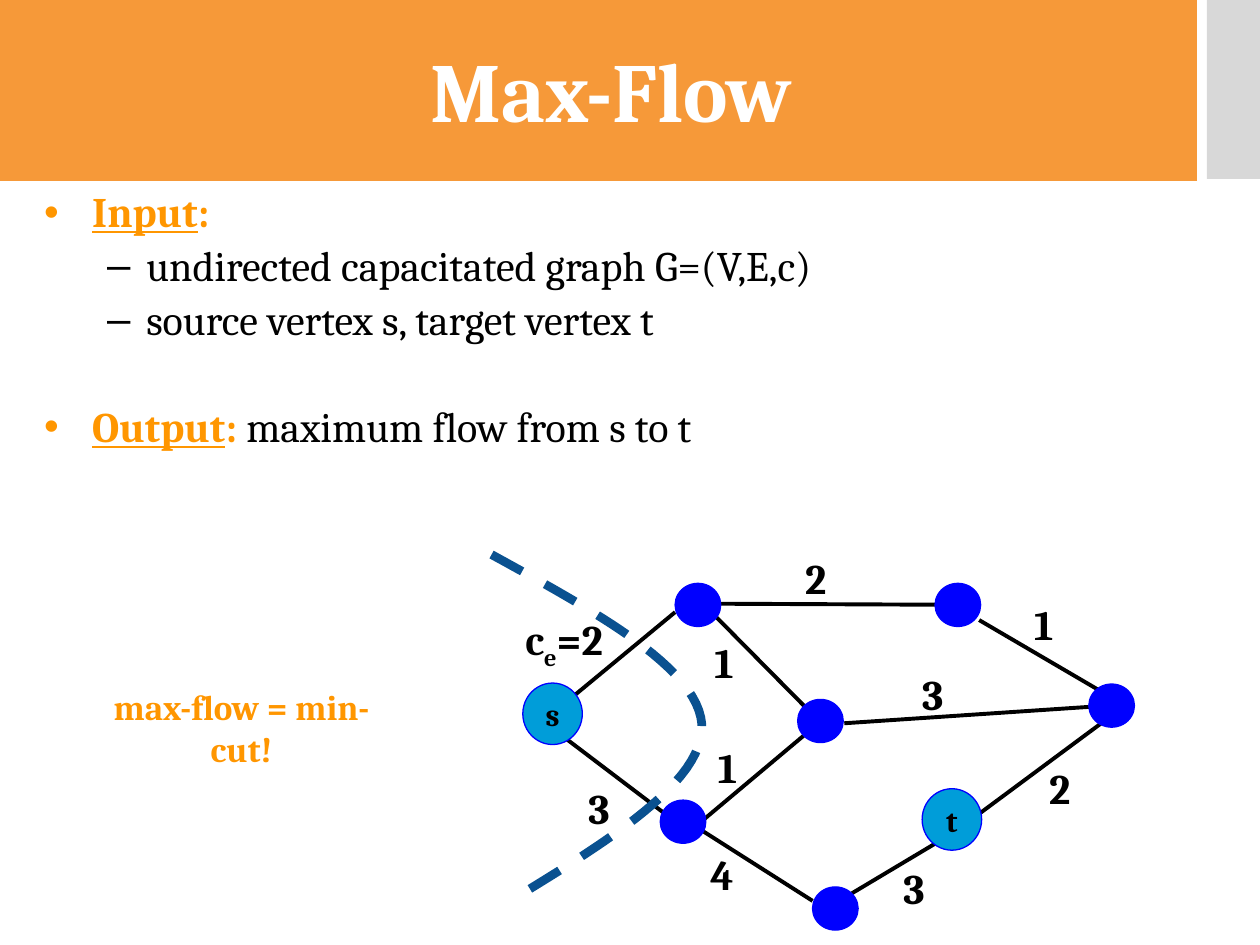
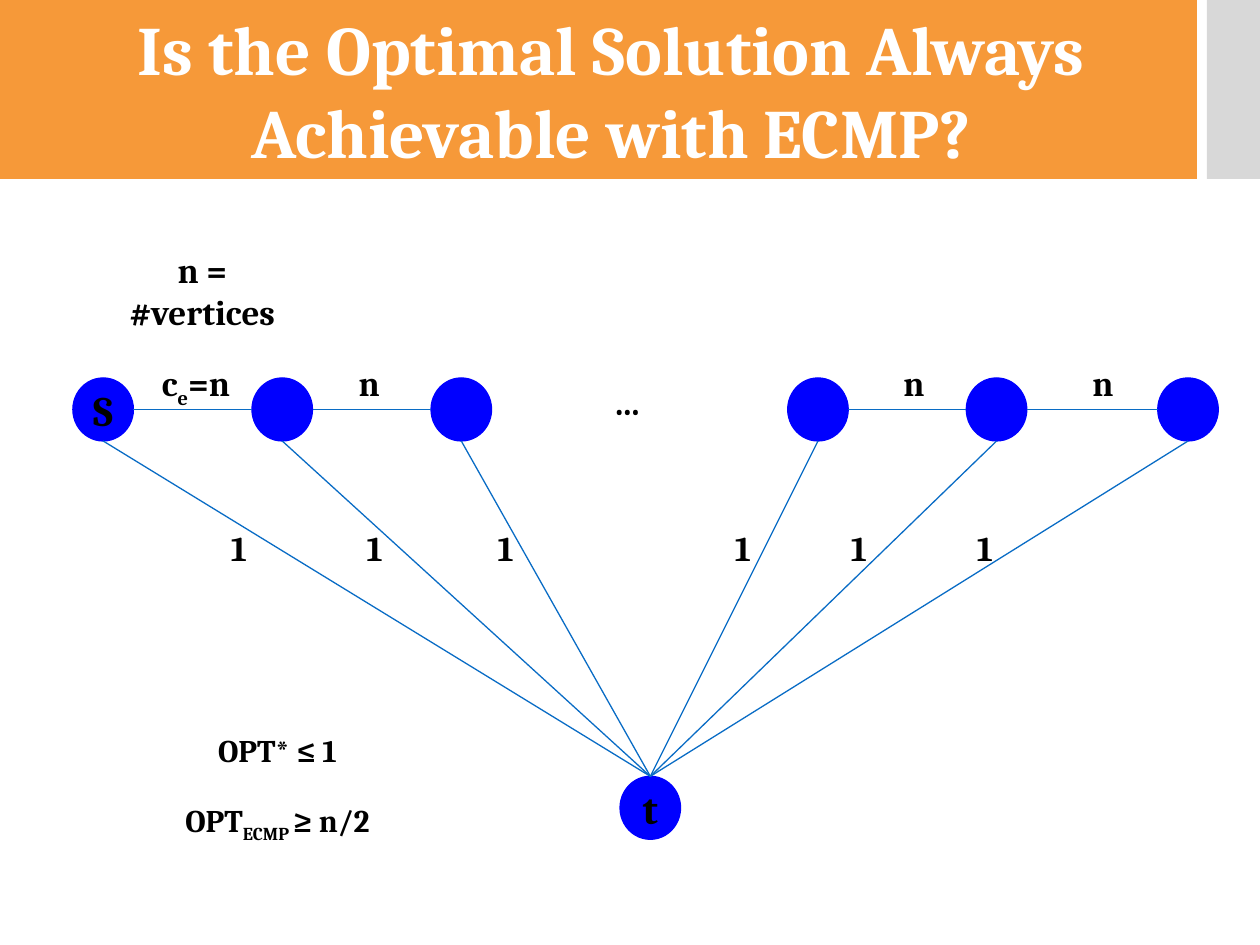
from dataclasses import dataclass

from lxml import etree
from pptx import Presentation
from pptx.dml.color import RGBColor
from pptx.enum.dml import MSO_LINE
from pptx.enum.shapes import MSO_CONNECTOR, MSO_SHAPE
from pptx.enum.text import MSO_ANCHOR, PP_ALIGN
from pptx.oxml.ns import qn
from pptx.util import Cm, Pt

FONT = "Cambria"
WHITE = RGBColor(0xFF, 0xFF, 0xFF)
BLACK = RGBColor(0, 0, 0)
BAND = RGBColor(0xF6, 0x99, 0x39)
GRAY = RGBColor(0xD8, 0xD8, 0xD8)
ORANGE = RGBColor(0xFF, 0x96, 0x00)
BLUE = RGBColor(0, 0, 0xFF)
CYAN = RGBColor(0, 0x9D, 0xD9)
LINK = RGBColor(0x09, 0x6C, 0xC5)
CUT = RGBColor(0x0A, 0x51, 0x90)

LEFT, CENTER = PP_ALIGN.LEFT, PP_ALIGN.CENTER
TOP, MIDDLE = MSO_ANCHOR.TOP, MSO_ANCHOR.MIDDLE
RECT, OVAL = MSO_SHAPE.RECTANGLE, MSO_SHAPE.OVAL
STRAIGHT = MSO_CONNECTOR.STRAIGHT
DASH = MSO_LINE.DASH


@dataclass
class Run:
    text: str
    bold: bool = True
    underline: bool = False
    color: RGBColor | None = None
    subscript: bool = False


@dataclass
class Bullet:
    runs: list[Run]
    char: str
    color: RGBColor
    margin: float
    hang: float
    before: float


@dataclass
class Edge:
    """An edge's two ends, its capacity, and the corner of its label, in cm."""
    x1: float
    y1: float
    x2: float
    y2: float
    label: str | list[Run]
    label_x: float
    label_y: float


def capacity(value: str) -> list[Run]:
    return [Run("c"), Run("e", subscript=True), Run(f"={value}")]


def add_runs(p, runs: str | list[Run], size: float, color: RGBColor):
    for run in [Run(runs)] if isinstance(runs, str) else runs:
        r = p.add_run()
        r.text = run.text
        r.font.name = FONT
        r.font.size = Pt(size)
        r.font.bold = run.bold
        r.font.underline = run.underline
        r.font.color.rgb = run.color or color
        if run.subscript:
            r.font._element.set("baseline", "-25000")


def write(sp, *paragraphs: str | list[Run], size: float, color=BLACK, align=CENTER,
          anchor=TOP, wrap=False, before=0.0, left_inset=0.25):
    """Write paragraphs into a shape; before is the gap between them in points."""
    tf = sp.text_frame
    tf.word_wrap = wrap
    tf.vertical_anchor = anchor
    tf.margin_left, tf.margin_right = Cm(left_inset), Cm(0.25)
    tf.margin_top = tf.margin_bottom = Cm(0.13)
    for i, runs in enumerate(paragraphs):
        p = tf.add_paragraph() if i else tf.paragraphs[0]
        p.alignment = align
        p.space_before = Pt(before if i else 0)
        add_runs(p, runs, size, color)


def add_text(s, x: float, y: float, w: float, h: float, *paragraphs, **fmt):
    sp = s.shapes.add_textbox(Cm(x), Cm(y), Cm(w), Cm(h))
    write(sp, *paragraphs, **fmt)


def add_shape(s, kind, x: float, y: float, w: float, h: float,
              fill: RGBColor, line: RGBColor | None = None):
    sp = s.shapes.add_shape(kind, Cm(x), Cm(y), Cm(w), Cm(h))
    sp.shadow.inherit = False
    sp.fill.solid()
    sp.fill.fore_color.rgb = fill
    if line is None:
        sp.line.fill.background()
    else:
        sp.line.color.rgb = line
        sp.line.width = Pt(0.75)
    return sp


def add_line(s, x1: float, y1: float, x2: float, y2: float, color: RGBColor, width: float):
    c = s.shapes.add_connector(STRAIGHT, Cm(x1), Cm(y1), Cm(x2), Cm(y2))
    c.line.color.rgb = color
    c.line.width = Pt(width)
    etree.SubElement(c._element.spPr, qn("a:effectLst"))
    return c


def add_header(s, title: str, size: float, top: float, height: float):
    add_shape(s, RECT, 24.33, 0, 1.07, 3.61, GRAY)
    sp = add_shape(s, RECT, 0, top, 24.13, height, BAND)
    write(sp, title, size=size, color=WHITE, anchor=MIDDLE, wrap=True, left_inset=0.76)


def add_bullets(s, x: float, y: float, w: float, h: float, bullets: list[Bullet]):
    sp = s.shapes.add_textbox(Cm(x), Cm(y), Cm(w), Cm(h))
    write(sp, *(b.runs for b in bullets), size=24, align=LEFT, wrap=True)
    for p, b in zip(sp.text_frame.paragraphs, bullets):
        p.line_spacing = 0.9
        p.space_before = Pt(b.before)
        pPr = p._p.get_or_add_pPr()
        pPr.set("marL", str(Cm(b.margin)))
        pPr.set("indent", str(-Cm(b.hang)))
        clr = etree.SubElement(pPr, qn("a:buClr"))
        etree.SubElement(clr, qn("a:srgbClr"), val=str(b.color))
        etree.SubElement(pPr, qn("a:buFont"), typeface="Arial")
        etree.SubElement(pPr, qn("a:buChar"), char=b.char)


def bezier(p0, p1, p2, p3, steps: int = 24) -> list[tuple[int, int]]:
    """Points along a cubic curve, without its start."""
    points = []
    for i in range(1, steps + 1):
        t = i / steps
        weights = ((1 - t) ** 3, 3 * t * (1 - t) ** 2, 3 * t * t * (1 - t), t ** 3)
        points.append(tuple(Cm(sum(k * c for k, c in zip(weights, axis)))
                            for axis in zip(p0, p1, p2, p3)))
    return points


def add_cut(s):
    start, middle, end = (9.91, 11.18), (14.15, 14.61), (10.29, 18.16)
    builder = s.shapes.build_freeform(Cm(start[0]), Cm(start[1]))
    builder.add_line_segments(
        bezier(start, (11.99, 12.32), (14.07, 13.46), middle)
        + bezier(middle, (14.2, 15.77), (12.24, 16.97), end), close=False)
    sp = builder.convert_to_shape()
    sp.shadow.inherit = False
    sp.fill.background()
    sp.line.color.rgb = CUT
    sp.line.width = Pt(5)
    sp.line.dash_style = DASH


def heading(word: str) -> list[Run]:
    return [Run(word, underline=True, color=ORANGE), Run(":", color=ORANGE)]


def build_max_flow(s):
    add_header(s, "Max-Flow", 48, -0.08, 3.73)
    main = {"char": "•", "color": ORANGE, "margin": 0.97, "hang": 0.97}
    sub = {"char": "–", "color": BLACK, "margin": 2.06, "hang": 0.79, "before": 4.8}
    add_bullets(s, 0.64, 3.73, 22.86, 6.81, [
        Bullet(heading("Input"), before=0, **main),
        Bullet([Run("undirected capacitated graph G=(V,E,c)", bold=False)], **sub),
        Bullet([Run("source vertex s, target vertex t", bold=False)], **sub),
        Bullet(heading("Output") + [Run(" maximum flow from s to t", bold=False)],
               before=35.4, **main),
    ])

    edges = [
        Edge(11.48, 14.1, 13.61, 12.34, capacity("2"), 10.34, 12.24),
        Edge(14.4, 12.4, 16.23, 14.25, "1", 14.15, 12.7),
        Edge(14.1, 16.71, 16.38, 18.16, "4", 14.07, 16.97),
        Edge(17.17, 18.01, 19.08, 16.87, "3", 17.96, 17.25),
        Edge(17.02, 14.58, 21.95, 14.25, "3", 18.34, 13.34),
        Edge(14.45, 12.17, 18.85, 12.19, "2", 15.98, 11),
        Edge(19.74, 12.5, 22.2, 13.94, "1", 20.6, 11.94),
        Edge(11, 14.58, 13.61, 16.56, "3", 11.61, 15.65),
        Edge(13.77, 16.87, 16.38, 14.68, "1", 14.22, 14.81),
        Edge(19.53, 16.56, 22.2, 14.58, "2", 20.9, 15.24),
    ]
    for e in edges:
        add_line(s, e.x1, e.y1, e.x2, e.y2, BLACK, 2.25)
    vertices = [(13.61, 11.76), (18.85, 11.76), (16.08, 14.1),
                (21.95, 13.79), (13.31, 16.13), (16.38, 17.88)]
    for x, y in vertices:
        add_shape(s, OVAL, x, y, 0.92, 0.87, BLUE, BLUE)
    for name, x, y in [("s", 10.54, 13.77), ("t", 18.59, 15.9)]:
        sp = add_shape(s, OVAL, x, y, 1.2, 1.24, CYAN, BLUE)
        write(sp, name, size=18, anchor=MIDDLE)
    for e in edges:
        width = 0.97 if isinstance(e.label, str) else 2.21
        add_text(s, e.label_x, e.label_y, width, 1.27, e.label, size=24, align=LEFT)
    add_cut(s)
    add_text(s, 1.57, 13.69, 6.6, 1.12, "max-flow = min-cut!",
             size=20, color=ORANGE, wrap=True)


def build_ecmp(s):
    add_header(s, "Is the Optimal Solution Always Achievable with ECMP?", 39.6, 0, 3.61)
    w, h, row_y = 1.22, 1.27, 7.62
    target_x, target_y = 12.5, 15.65
    row = [1.47, 5.08, 8.69, 15.88, 19.48, 23.34]
    spoke_labels = [4.37, 7.11, 9.75, 14.53, 16.87, 19.41]

    target = add_shape(s, OVAL, target_x, target_y, w, h, BLUE, BLUE)
    write(target, "t", size=24, anchor=MIDDLE)
    for i, (x, label_x) in enumerate(zip(row, spoke_labels)):
        sp = add_shape(s, OVAL, x, row_y, w, h, BLUE, BLUE)
        if i == 0:
            write(sp, "S", size=24, anchor=MIDDLE)
        spoke = add_line(s, x + w / 2, row_y + h, target_x + w / 2, target_y, LINK, 0.75)
        spoke.end_connect(target, 0)
        add_text(s, label_x, 10.49, 0.89, 1.12, "1", size=20)

    links = [(0, capacity("n"), 3, 1.9), (1, "n", 6.98, 0.89),
             (3, "n", 17.96, 0.89), (4, "n", 21.77, 0.89)]
    for i, label, label_x, label_w in links:
        y = row_y + h / 2
        add_line(s, row[i] + w, y, row[i + 1], y, LINK, 0.75)
        add_text(s, label_x, 7.16, label_w, 1.12, label, size=20)
    add_text(s, 12.04, 7.54, 1.22, 1.12, "…", size=20)

    add_text(s, 1.83, 4.88, 4.5, 1.12, "n = #vertices", size=20, wrap=True)
    add_text(s, 3.45, 14.6, 4.29, 2.44, "OPT* ≤ 1",
             [Run("OPT"), Run("ECMP ", subscript=True), Run("≥ n/2")],
             size=18, before=18.4)


def main():
    prs = Presentation()
    prs.slide_width, prs.slide_height = Cm(25.4), Cm(19.05)
    blank = prs.slide_layouts[6]
    for build in (build_max_flow, build_ecmp):
        build(prs.slides.add_slide(blank))
    prs.save("out.pptx")


if __name__ == "__main__":
    main()
